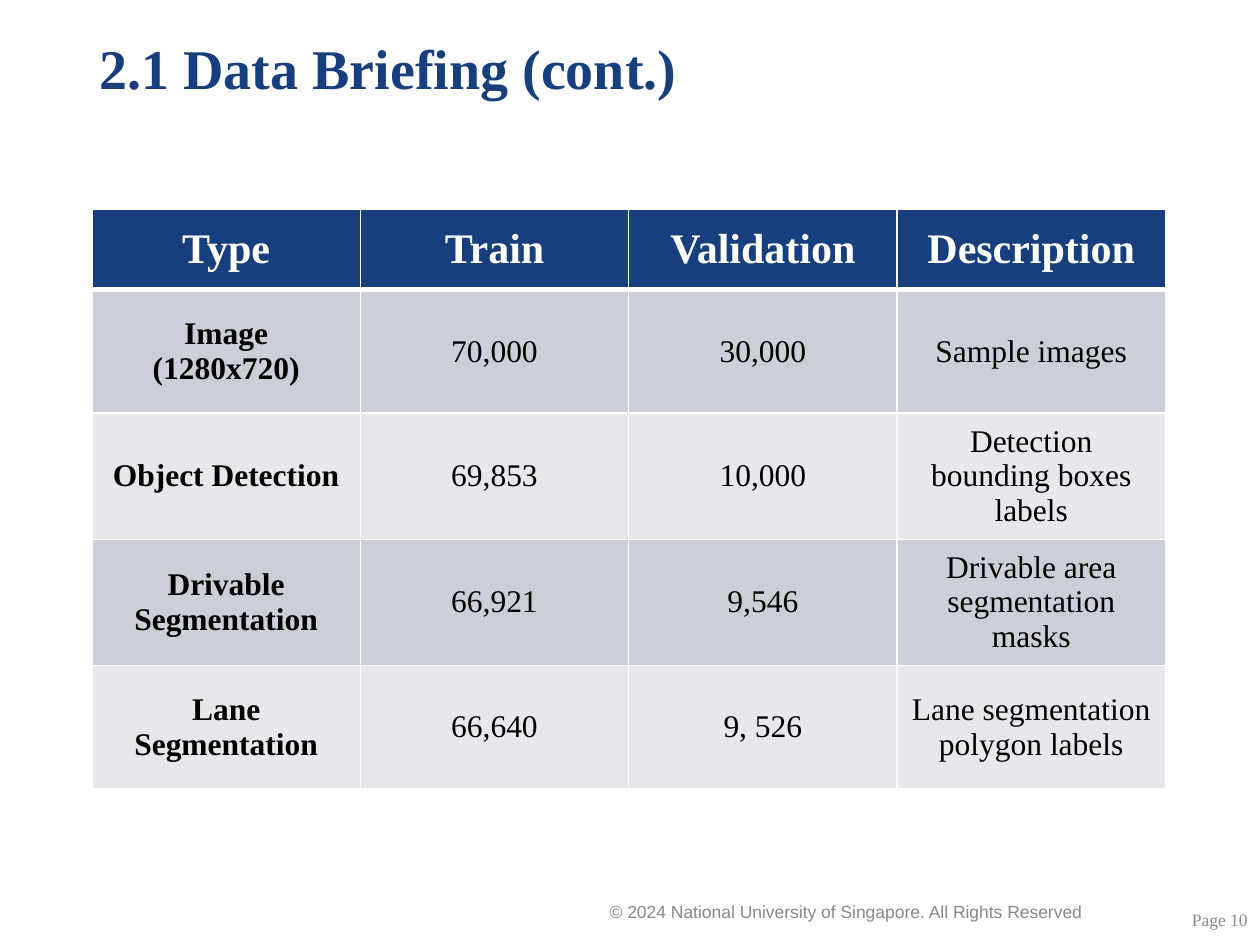
import pptx
import pptx.dml.color
import pptx.enum.text
import pptx.oxml.ns
import pptx.util
from lxml import etree

Inches = pptx.util.Inches
Pt = pptx.util.Pt
RGBColor = pptx.dml.color.RGBColor
Align = pptx.enum.text.PP_ALIGN
Anchor = pptx.enum.text.MSO_ANCHOR

NAVY = RGBColor(0x17, 0x3F, 0x7E)
WHITE = RGBColor(0xFF, 0xFF, 0xFF)
BLACK = RGBColor(0, 0, 0)
DARK_BAND = RGBColor(0xCC, 0xCF, 0xD8)
LIGHT_BAND = RGBColor(0xE8, 0xE8, 0xEC)
FOOTER_GRAY = RGBColor(0x89, 0x89, 0x89)
PAGE_GRAY = RGBColor(0x8C, 0x8C, 0x8C)

ROWS = [
    ("Type", "Train", "Validation", "Description"),
    ("Image\n(1280x720)", "70,000", "30,000", "Sample images"),
    ("Object Detection", "69,853", "10,000", "Detection bounding boxes labels"),
    ("Drivable Segmentation", "66,921", "9,546", "Drivable area segmentation masks"),
    ("Lane Segmentation", "66,640", "9, 526", "Lane segmentation polygon labels"),
]


def write_text(frame, text, size, color, font="Times New Roman", bold=False,
               align=Align.LEFT, spacing=None):
    """Fill the first paragraph; a newline in the text becomes a line break."""
    para = frame.paragraphs[0]
    para.alignment = align
    if spacing:
        para.line_spacing = spacing
    for index, line in enumerate(text.split("\n")):
        if index:
            para.add_line_break()
        span = para.add_run()
        span.text = line
        span.font.name = font
        span.font.size = Pt(size)
        span.font.bold = bold
        span.font.color.rgb = color


def set_border(cell, side, width):
    """Draw one white edge of a cell; side is L, R, T or B."""
    qn = pptx.oxml.ns.qn
    line = etree.SubElement(cell._tc.get_or_add_tcPr(), qn(f"a:ln{side}"),
                            w=str(Pt(width)))
    fill = etree.SubElement(line, qn("a:solidFill"))
    etree.SubElement(fill, qn("a:srgbClr"), val=str(WHITE))


class SlideBuilder:
    def __init__(self, page):
        self.page = page

    def text(self, left, top, width, height, text, anchor=Anchor.TOP, **style):
        box = self.page.shapes.add_textbox(
            Inches(left), Inches(top), Inches(width), Inches(height))
        box.text_frame.word_wrap = True
        box.text_frame.vertical_anchor = anchor
        write_text(box.text_frame, text, **style)

    def table(self, left, top, rows, column_width, header_height, row_height):
        height = header_height + row_height * (len(rows) - 1)
        columns = len(rows[0])
        table = self.page.shapes.add_table(
            len(rows), columns, Inches(left), Inches(top),
            Inches(column_width * columns), Inches(height)).table
        for column in table.columns:
            column.width = Inches(column_width)
        for row_index, values in enumerate(rows):
            is_header = row_index == 0
            table.rows[row_index].height = Inches(
                header_height if is_header else row_height)
            for column_index, value in enumerate(values):
                self.cell(table.cell(row_index, column_index), value,
                          row_index, bold=is_header or column_index == 0)

    def cell(self, cell, value, row_index, bold):
        is_header = row_index == 0
        band = DARK_BAND if row_index % 2 else LIGHT_BAND
        set_border(cell, "L", 1)
        set_border(cell, "R", 1)
        set_border(cell, "T", 3 if row_index == 1 else 1)
        set_border(cell, "B", 3 if is_header else 1)
        cell.fill.solid()
        cell.fill.fore_color.rgb = NAVY if is_header else band
        cell.vertical_anchor = Anchor.MIDDLE
        write_text(cell.text_frame, value, size=24 if is_header else 18,
                   color=WHITE if is_header else BLACK, bold=bold,
                   align=Align.CENTER)


def main():
    deck = pptx.Presentation()
    deck.slide_width = Inches(10)
    deck.slide_height = Inches(7.5)
    builder = SlideBuilder(deck.slides.add_slide(deck.slide_layouts[6]))

    builder.text(4.74, 7.1, 4.36, 0.26,
                 "© 2024 National University of Singapore. All Rights Reserved",
                 size=10, color=FOOTER_GRAY, font="Arial")
    builder.text(0.69, 0.27, 7.22, 0.6, "2.1 Data Briefing (cont.)",
                 anchor=Anchor.MIDDLE, size=32, color=NAVY, bold=True, spacing=0.9)
    builder.text(8.75, 7.1, 1.25, 0.4, "Page 10", anchor=Anchor.MIDDLE,
                 size=10, color=PAGE_GRAY, align=Align.RIGHT)
    builder.table(0.73, 1.66, ROWS, column_width=2.13,
                  header_height=0.64, row_height=0.98)

    deck.save("out.pptx")


if __name__ == "__main__":
    main()
